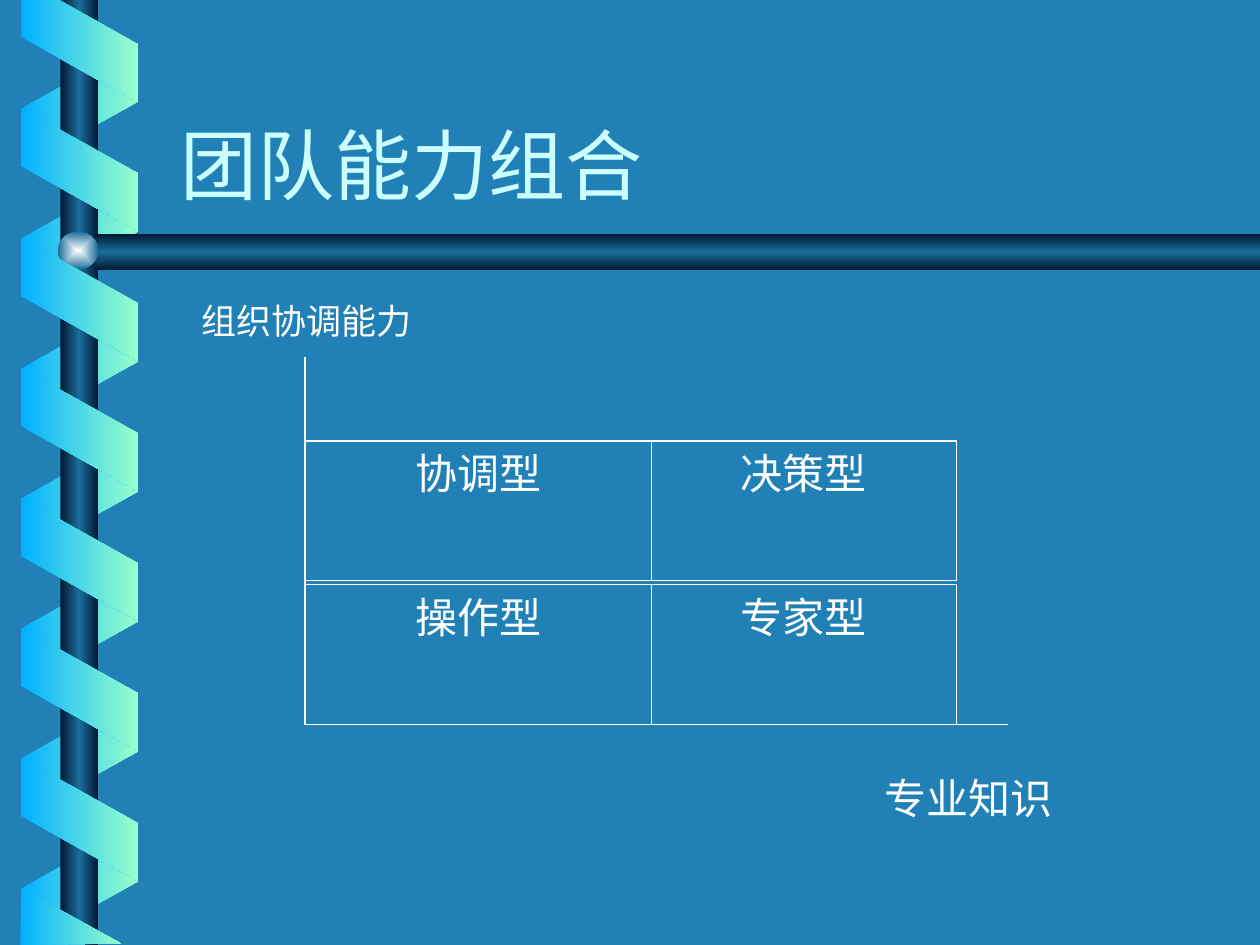
from dataclasses import dataclass

from lxml import etree
from pptx import Presentation
from pptx import util as u
from pptx.dml.color import RGBColor
from pptx.enum import shapes as es, text as et
from pptx.oxml import ns, parse_xml


@dataclass(frozen=True)
class Theme:
    back: str = "2181B7"
    ink: str = "FFFFFF"
    title: str = "CCFFFF"
    ribbon: tuple = ((0, "01B0FF"), (100, "99FFCC"))
    steel: tuple = ((0, "001932"), (50, "1C6D9A"), (100, "001932"))
    ball: tuple = ((0, "FEFFFF"), (100, "1C6D9A"))
    head: str = "Roboto Condensed"
    body: str = "Times New Roman"
    big: int = 44
    mid: int = 24
    small: int = 20
    line: float = 0.75


@dataclass(frozen=True)
class Box:
    """Place and size in centimetres."""
    x: float
    y: float
    w: float
    h: float

    def emu(self) -> tuple:
        return u.Cm(self.x), u.Cm(self.y), u.Cm(self.w), u.Cm(self.h)


@dataclass(frozen=True)
class Label:
    text: str
    box: Box
    size: int


T = Theme()
PRESET = es.MSO_SHAPE
PITCH, TURNS = 2.62, 7
LEFT, BASE = 6.15, 14.61
CELL_H, ROW_GAP = 2.82, 0.08
COLS = ((LEFT, 6.98), (LEFT + 6.98, 6.15))
CELLS = (("协调型", "决策型"), ("操作型", "专家型"))
LABELS = (
    Label("专业知识", Box(17.58, 15.44, 4.65, 1.27), T.mid),
    Label("组织协调能力", Box(3.81, 5.92, 4.88, 1.12), T.small),
)


def shade(shape, stops: tuple, angle: int = 0, radial: bool = False) -> None:
    """Fill with a gradient, clockwise angle, and drop line and shadow."""
    shape.shadow.inherit = False
    shape.line.fill.background()
    shape.fill.background()
    marks = "".join(f'<a:gs pos="{pos * 1000}"><a:srgbClr val="{rgb}"/></a:gs>'
                    for pos, rgb in stops)
    way = (f'<a:lin ang="{angle * 60000}" scaled="0"/>' if not radial else
           '<a:path path="rect"><a:fillToRect l="50000" t="50000" '
           'r="50000" b="50000"/></a:path>')
    grad = parse_xml(f'<a:gradFill {ns.nsdecls("a")} rotWithShape="1">'
                     f'<a:gsLst>{marks}</a:gsLst>{way}</a:gradFill>')
    props = shape._element.spPr
    props.replace(props.find(ns.qn("a:noFill")), grad)


def coil(slide, top: float, count: int, front: bool) -> None:
    """Draw one side of the ribbon, a band per turn."""
    for i in range(count):
        box = Box(0.36, top + i * PITCH, 2.49, 2.36)
        band = slide.shapes.add_shape(PRESET.PARALLELOGRAM, *box.emu())
        band.adjustments[0] = 0.56
        band.rotation = 270 if front else 90
        if not front:
            band._element.spPr.find(ns.qn("a:xfrm")).set("flipH", "1")
        shade(band, T.ribbon, 90 if front else 270)


def outline(slide, dots: tuple, stops: tuple, angle: int) -> None:
    pts = [(u.Cm(x), u.Cm(y)) for x, y in dots]
    pen = slide.shapes.build_freeform(*pts[0])
    pen.add_line_segments(pts[1:], close=True)
    shade(pen.convert_to_shape(), stops, angle)


def axis(slide, x: float, y: float) -> None:
    """Draw a line from the origin of the chart to a point."""
    line = slide.shapes.add_connector(
        es.MSO_CONNECTOR.STRAIGHT, u.Cm(LEFT), u.Cm(BASE), u.Cm(x), u.Cm(y))
    line.line.color.rgb = RGBColor.from_string(T.ink)
    line.line.width = u.Pt(T.line)
    etree.SubElement(line._element.spPr, ns.qn("a:effectLst"))


def write(shape, words: str, size: int, face: str, rgb: str, align) -> None:
    frame = shape.text_frame
    frame.text = words
    frame.word_wrap = True
    frame.auto_size = et.MSO_AUTO_SIZE.NONE
    frame.vertical_anchor = et.MSO_ANCHOR.TOP
    para = frame.paragraphs[0]
    para.alignment = align
    font = para.runs[0].font
    font.size, font.name = u.Pt(size), face
    font.color.rgb = RGBColor.from_string(rgb)


def cell(slide, words: str, box: Box) -> None:
    rect = slide.shapes.add_shape(PRESET.RECTANGLE, *box.emu())
    rect.shadow.inherit = False
    rect.fill.background()
    rect.line.color.rgb = RGBColor.from_string(T.ink)
    rect.line.width = u.Pt(T.line)
    write(rect, words, T.mid, T.body, T.ink, et.PP_ALIGN.CENTER)


def main() -> None:
    deck = Presentation()
    deck.slide_width, deck.slide_height = u.Cm(25.4), u.Cm(19.05)
    slide = deck.slides.add_slide(deck.slide_layouts[5])
    fill = slide.background.fill
    fill.solid()
    fill.fore_color.rgb = RGBColor.from_string(T.back)

    # Ribbon behind the rod, then rod, bar and ball
    coil(slide, 0.94, TURNS, front=False)
    rod = slide.shapes.add_shape(PRESET.RECTANGLE,
                                 *Box(1.22, 0, 0.76, 19.05).emu())
    shade(rod, T.steel)
    outline(slide, ((25.4, 4.72), (1.93, 4.72), (1.52, 5.08),
                    (1.93, 5.44), (25.4, 5.44)), T.steel, 90)
    ball = slide.shapes.add_shape(PRESET.OVAL,
                                  *Box(1.17, 4.67, 0.81, 0.76).emu())
    shade(ball, T.ball, radial=True)

    # Ribbon in front, with its cut ends
    coil(slide, 2.24, TURNS - 1, front=True)
    outline(slide, ((0.43, 0), (0.43, 0.74), (2.77, 2.06),
                    (2.77, 0.89), (1.19, 0)), T.ribbon, 0)
    outline(slide, ((2.44, 19.02), (0.43, 17.91), (0.41, 19.05)),
            T.ribbon, 0)

    # Title
    title = slide.shapes.title
    title.left, title.top, title.width, title.height = Box(
        3.38, 1.17, 21.59, 3.18).emu()
    write(title, "团队能力组合", T.big, T.head, T.title, et.PP_ALIGN.LEFT)
    title.text_frame.vertical_anchor = et.MSO_ANCHOR.BOTTOM

    # Axes and their labels
    axis(slide, 20.32, BASE)
    axis(slide, LEFT, 7.19)
    for tag in LABELS:
        area = slide.shapes.add_textbox(*tag.box.emu())
        write(area, tag.text, tag.size, T.body, T.ink, et.PP_ALIGN.LEFT)

    # Grid of roles, stacked up from the base line
    for row, names in enumerate(CELLS):
        y = BASE - CELL_H - (1 - row) * (CELL_H + ROW_GAP)
        for words, (x, w) in zip(names, COLS):
            cell(slide, words, Box(x, y, w, CELL_H))

    deck.save("out.pptx")


if __name__ == "__main__":
    main()
